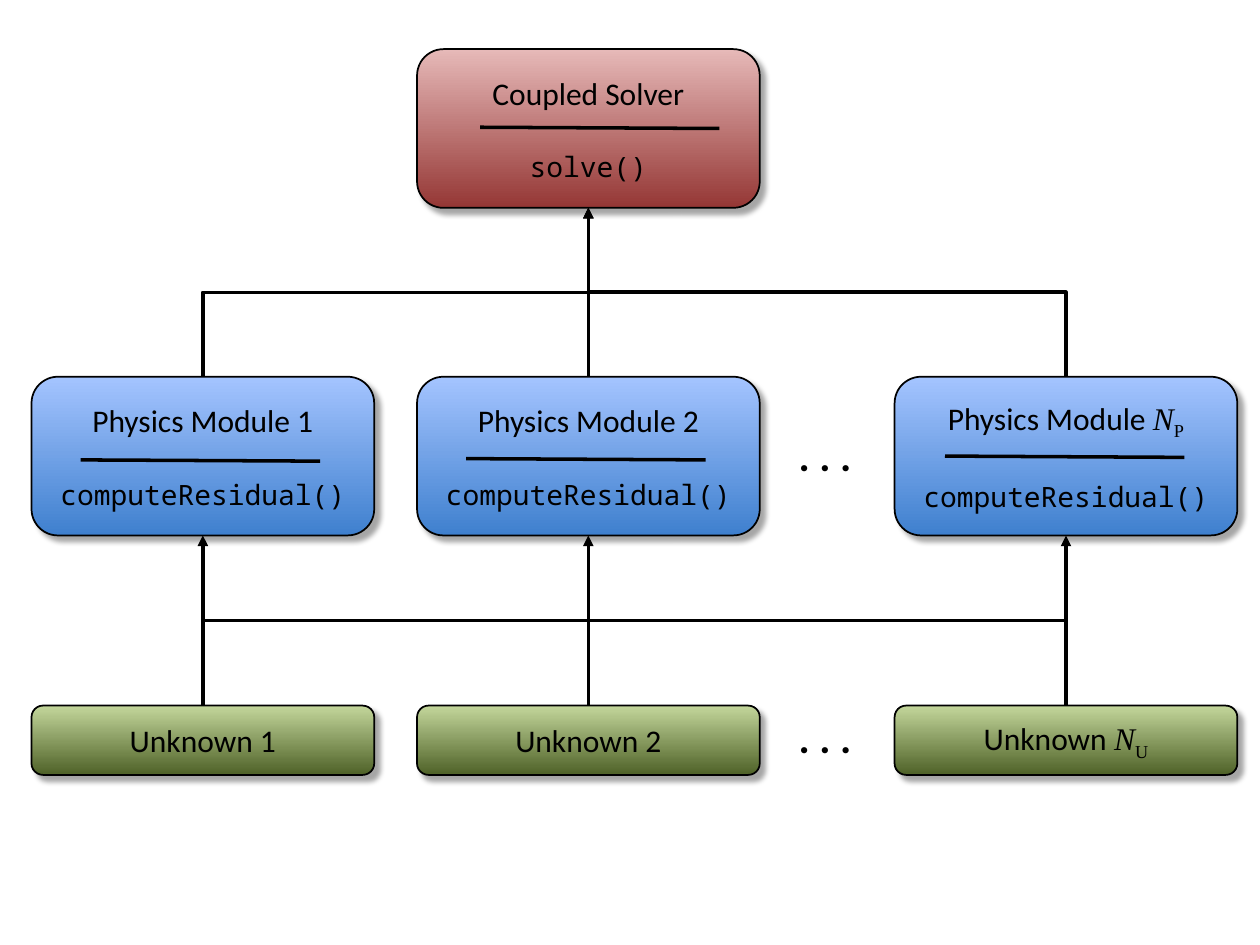
from lxml.etree import SubElement
from pptx import Presentation
from pptx.dml.color import RGBColor
from pptx.enum.shapes import MSO_CONNECTOR as CONN, MSO_SHAPE as SHAPE
from pptx.enum.text import MSO_ANCHOR as ANCHOR, MSO_AUTO_SIZE as AUTO, PP_ALIGN as ALIGN
from pptx.oxml.ns import qn
from pptx.util import Inches, Pt

COLORS = {
    "ink": "000000",
    "solver": ("953735", "E6B9B8"),
    "physics": ("3F80CE", "A4C4FF"),
    "unknown": ("4F6228", "C3D69B"),
}
BODY, MONO, MATH = "Calibri", "Noto Sans Mono", "Times New Roman"
BOX_W, BOX_H, UNKNOWN_H = 2.72, 1.26, 0.55
COLUMNS = (0.25, 3.31, 7.1)
SOLVER_Y, PHYSICS_Y, UNKNOWN_Y = 0.39, 2.99, 5.6


def rgb(value):
    """Turn a hex string into a colour."""
    return RGBColor.from_string(value)


def add_run(p, text, size=18, font=BODY, bold=False, italic=False, base=0):
    """Add one formatted run to a paragraph."""
    r = p.add_run()
    r.text = text
    r.font.size, r.font.name = Pt(size), font
    r.font.bold, r.font.italic = bold, italic
    r.font.color.rgb = rgb(COLORS["ink"])
    if base:
        r._r.get_or_add_rPr().set("baseline", str(base * 1000))


class Diagram:
    """Holds the current slide and the style of its elements."""

    def __init__(self, s):
        """Keep the slide to draw on."""
        self.s = s

    def box(self, x, y, h, kind, label, index="", call=""):
        """Add a shaded rounded box with a label, a subscripted N and a call."""
        sp = self.s.shapes.add_shape(SHAPE.ROUNDED_RECTANGLE, Inches(x), Inches(y),
                                     Inches(BOX_W), Inches(h))
        sp.fill.gradient()
        sp.fill.gradient_angle = 90
        for stop, color in zip(sp.fill.gradient_stops, COLORS[kind]):
            stop.color.rgb = rgb(color)
        sp.line.color.rgb = rgb(COLORS["ink"])
        sp.line.width = Pt(1)
        self.shadow(sp)
        tf = sp.text_frame
        tf.word_wrap, tf.vertical_anchor = True, ANCHOR.MIDDLE
        p = tf.paragraphs[0]
        p.alignment = ALIGN.CENTER
        add_run(p, label)
        if index:
            add_run(p, "N", font=MATH, italic=True)
            add_run(p, index, font=MATH, base=-25)
        if call:
            p = tf.add_paragraph()
            p.alignment, p.space_before = ALIGN.CENTER, Pt(22)
            add_run(p, call, size=16, font=MONO)

    def shadow(self, sp):
        """Give a shape a soft shadow to the lower right."""
        sp.shadow.inherit = False
        effects = sp._element.spPr.find(qn("a:effectLst"))
        outer = SubElement(effects, qn("a:outerShdw"), blurRad=str(Pt(3.1)),
                           dist=str(Pt(4)), dir="2700000", rotWithShape="0")
        color = SubElement(outer, qn("a:srgbClr"), val=COLORS["ink"])
        SubElement(color, qn("a:alpha"), val="35000")

    def line(self, x1, y1, x2, y2, kind=CONN.STRAIGHT, arrow=False):
        """Add a black line, with an arrowhead at its end if wanted."""
        c = self.s.shapes.add_connector(kind, Inches(x1), Inches(y1), Inches(x2), Inches(y2))
        c.line.color.rgb = rgb(COLORS["ink"])
        c.line.width = Pt(2)
        if arrow:
            SubElement(c.line._get_or_add_ln(), qn("a:tailEnd"), type="triangle")
        SubElement(c._element.spPr, qn("a:effectLst"))
        return c

    def rise(self, x1, y1, x2, y2):
        """Add an arrow that goes up, across at half height, and up again."""
        if x1 == x2:
            self.line(x1, y1, x2, y2, arrow=True)
            return
        cx, cy, dx, dy = (x1 + x2) / 2, (y1 + y2) / 2, x2 - x1, y1 - y2
        c = self.line(cx - dy / 2, cy - dx / 2, cx + dy / 2, cy + dx / 2,
                      kind=CONN.ELBOW, arrow=True)
        c._element.spPr.find(qn("a:xfrm")).set("rot", str(270 * 60000))

    def dots(self, x, y):
        """Add the ellipsis between two boxes of a row."""
        sp = self.s.shapes.add_textbox(Inches(x), Inches(y), Inches(0.62), Inches(0.5))
        tf = sp.text_frame
        tf.word_wrap, tf.auto_size = False, AUTO.SHAPE_TO_FIT_TEXT
        add_run(tf.paragraphs[0], ". . .", size=24, bold=True)


def main():
    """Build the solver diagram and save it."""
    prs = Presentation()
    prs.slide_width, prs.slide_height = Inches(10), Inches(7.5)
    d = Diagram(prs.slides.add_slide(prs.slide_layouts[6]))
    centers = [x + BOX_W / 2 for x in COLUMNS]

    d.box(COLUMNS[1], SOLVER_Y, BOX_H, "solver", "Coupled Solver", call="solve()")
    for x, number, sub in zip(COLUMNS, ("1", "2", ""), ("", "", "P")):
        d.box(x, PHYSICS_Y, BOX_H, "physics", f"Physics Module {number}", sub,
              "computeResidual()")
    for x, number, sub in zip(COLUMNS, ("1", "2", ""), ("", "", "U")):
        d.box(x, UNKNOWN_Y, UNKNOWN_H, "unknown", f"Unknown {number}", sub)
    for x, y in ((3.81, 1.01), (0.64, 3.65), (3.7, 3.64), (7.5, 3.62)):
        d.line(x, y, x + 1.9, y + 0.01)

    for x in centers:
        d.rise(x, PHYSICS_Y, centers[1], SOLVER_Y + BOX_H)
    for x, target in zip(centers, centers[1:] + centers[:1]):
        d.rise(x, UNKNOWN_Y, target, PHYSICS_Y + BOX_H)
    for y in (3.36, UNKNOWN_Y):
        d.dots(6.24, y)
    prs.save("out.pptx")


main()
